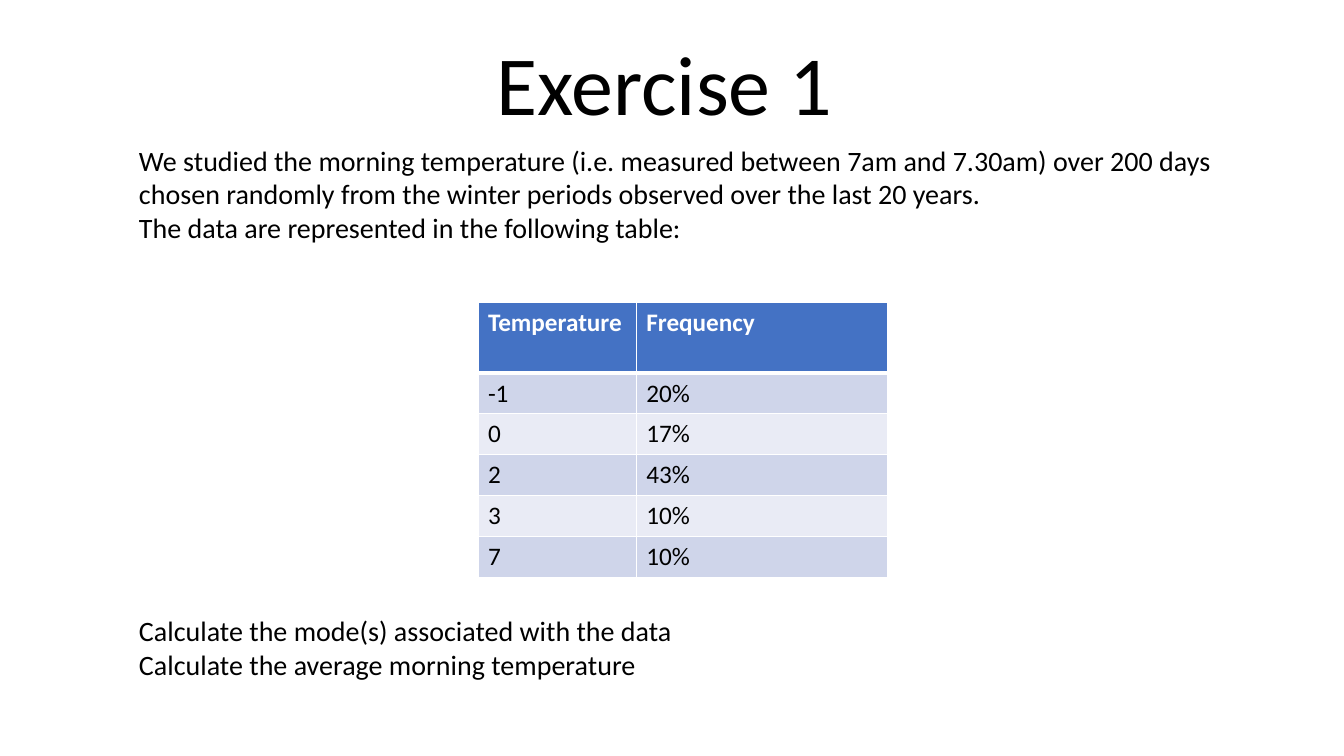
from dataclasses import dataclass

from lxml import etree
from pptx import Presentation
from pptx.dml.color import RGBColor
from pptx.enum.text import MSO_ANCHOR, PP_ALIGN
from pptx.oxml.ns import qn
from pptx.slide import Slide
from pptx.table import _Cell
from pptx.text.text import _Paragraph
from pptx.util import Inches, Pt

LEFT, CENTER = PP_ALIGN.LEFT, PP_ALIGN.CENTER
TOP, BOTTOM = MSO_ANCHOR.TOP, MSO_ANCHOR.BOTTOM

SLIDE_WIDTH, SLIDE_HEIGHT = 13.33, 7.5
BLACK, WHITE, HEADER_BLUE = "000000", "FFFFFF", "4472C4"
BANDS = ("CFD5EA", "E9EBF5")
COLUMN_WIDTHS = (1.57, 2.49)
HEADER_HEIGHT, ROW_HEIGHT = 0.7, 0.406
TABLE_GAP = 264  # points left free for the table between the paragraphs

FREQUENCIES = (
    ("Temperature", "Frequency"),
    ("-1", "20%"),
    ("0", "17%"),
    ("2", "43%"),
    ("3", "10%"),
    ("7", "10%"),
)


@dataclass(frozen=True)
class Line:
    text: str
    space_before: float = 0


@dataclass(frozen=True)
class TextBlock:
    left: float
    top: float
    width: float
    height: float
    lines: tuple[Line, ...]
    size: float
    alignment: PP_ALIGN = LEFT
    anchor: MSO_ANCHOR = TOP
    line_spacing: float = 1.0


TEXT_BLOCKS = (
    TextBlock(1.59, 0.03, 10, 1.35, (Line("Exercise 1"),), 60, CENTER, BOTTOM, 0.9),
    TextBlock(1.28, 1.37, 10.98, 6.1, (
        Line("We studied the morning temperature (i.e. measured between 7am and 7.30am) "
             "over 200 days chosen randomly from the winter periods observed over the "
             "last 20 years."),
        Line("The data are represented in the following table:"),
        Line("Calculate the mode(s) associated with the data", TABLE_GAP),
        Line("Calculate the average morning temperature"),
    ), 20),
)


def color(hex_string: str) -> RGBColor:
    return RGBColor.from_string(hex_string)


def format_paragraph(paragraph: _Paragraph, text: str, size: float,
                     hex_string: str = BLACK, bold: bool = False) -> None:
    run = paragraph.add_run()
    run.text = text
    formats = {"name": "Calibri", "size": Pt(size), "bold": bold}
    for attribute, value in formats.items():
        setattr(run.font, attribute, value)
    run.font.color.rgb = color(hex_string)


def draw_text(slide: Slide, block: TextBlock) -> None:
    lengths = (block.left, block.top, block.width, block.height)
    frame = slide.shapes.add_textbox(*map(Inches, lengths)).text_frame
    frame.word_wrap = True
    frame.vertical_anchor = block.anchor
    for index, line in enumerate(block.lines):
        paragraph = frame.add_paragraph() if index else frame.paragraphs[0]
        formats = {
            "alignment": block.alignment,
            "line_spacing": block.line_spacing,
            "space_before": Pt(line.space_before),
        }
        for attribute, value in formats.items():
            setattr(paragraph, attribute, value)
        format_paragraph(paragraph, line.text, block.size)


def draw_borders(cell: _Cell, widths: dict[str, float]) -> None:
    properties = cell._tc.get_or_add_tcPr()
    for side, width in widths.items():
        border = etree.SubElement(properties, qn(f"a:ln{side}"), w=str(Pt(width)))
        fill = etree.SubElement(border, qn("a:solidFill"))
        etree.SubElement(fill, qn("a:srgbClr"), val=WHITE)


def draw_table(slide: Slide, left: float, top: float) -> None:
    heights = [HEADER_HEIGHT] + [ROW_HEIGHT] * (len(FREQUENCIES) - 1)
    lengths = (left, top, sum(COLUMN_WIDTHS), sum(heights))
    table = slide.shapes.add_table(
        len(heights), len(COLUMN_WIDTHS), *map(Inches, lengths)).table
    for column, width in zip(table.columns, COLUMN_WIDTHS):
        column.width = Inches(width)
    for index, (row, values) in enumerate(zip(table.rows, FREQUENCIES)):
        row.height = Inches(heights[index])
        header = index == 0
        # The thick rule lies between the header and the first data row
        widths = {"L": 1, "R": 1, "T": 3 if index == 1 else 1, "B": 3 if header else 1}
        for cell, value in zip(row.cells, values):
            draw_borders(cell, widths)
            cell.fill.solid()
            cell.fill.fore_color.rgb = color(
                HEADER_BLUE if header else BANDS[(index - 1) % len(BANDS)])
            format_paragraph(cell.text_frame.paragraphs[0], value, 18,
                             WHITE if header else BLACK, header)


def main() -> None:
    presentation = Presentation()
    presentation.slide_width = Inches(SLIDE_WIDTH)
    presentation.slide_height = Inches(SLIDE_HEIGHT)
    slide = presentation.slides.add_slide(presentation.slide_layouts[6])

    # Title, introduction and questions
    for block in TEXT_BLOCKS:
        draw_text(slide, block)

    # Frequency table
    draw_table(slide, 4.74, 3)

    presentation.save("out.pptx")


if __name__ == "__main__":
    main()
